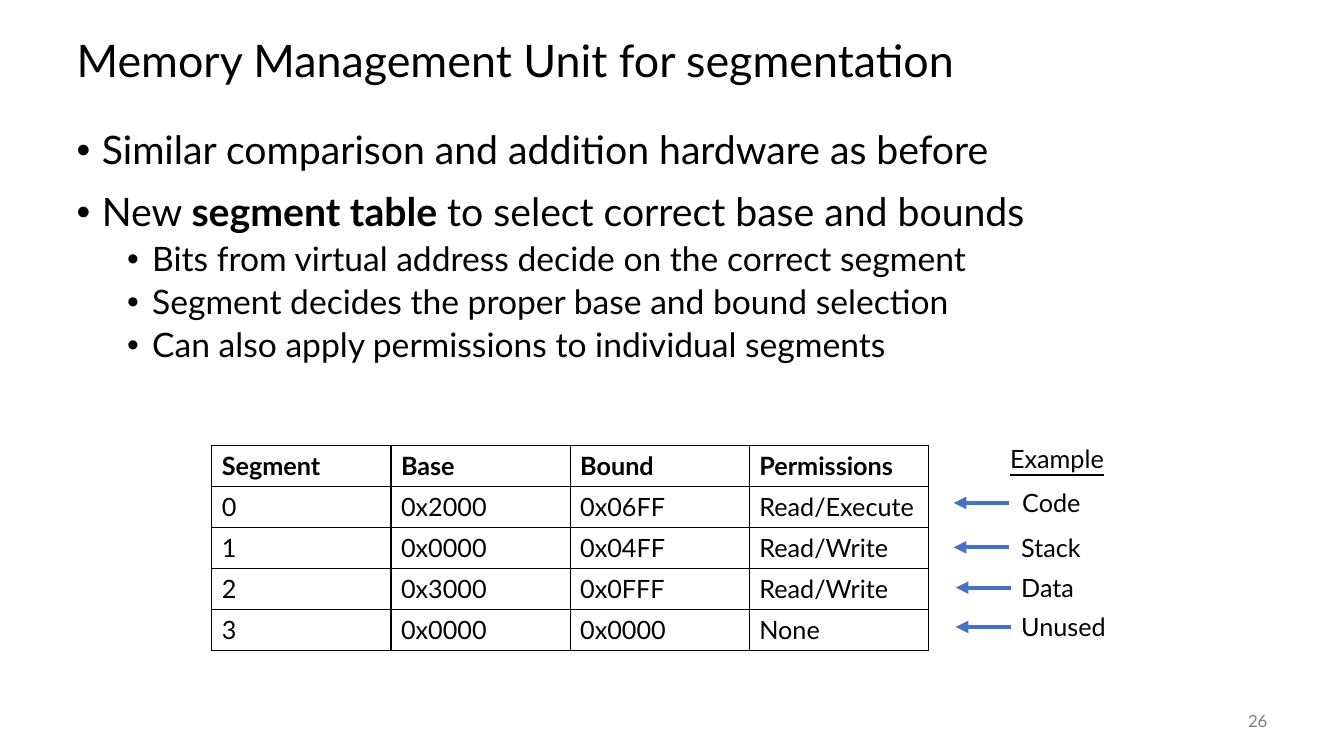
from lxml import etree
from pptx import Presentation
from pptx.dml.color import RGBColor
from pptx.enum.shapes import MSO_CONNECTOR
from pptx.enum.text import MSO_ANCHOR, MSO_AUTO_SIZE, PP_ALIGN
from pptx.oxml.ns import qn
from pptx.util import Inches, Pt

LEFT, RIGHT = PP_ALIGN.LEFT, PP_ALIGN.RIGHT
TOP, MIDDLE = MSO_ANCHOR.TOP, MSO_ANCHOR.MIDDLE
FIXED, GROW = MSO_AUTO_SIZE.NONE, MSO_AUTO_SIZE.SHAPE_TO_FIT_TEXT
STRAIGHT = MSO_CONNECTOR.STRAIGHT

FONT = "Lato"
BLACK, GREY, BLUE = "000000", "808080", "4472C4"
LABEL_W, LABEL_H = 1.92, 0.4
ARROW_LEN = 0.55

BULLETS = [
    (0, ["Similar comparison and addition hardware as before"]),
    (0, ["New ", "*segment table", " to select correct base and bounds"]),
    (1, ["Bits from virtual address decide on the correct segment"]),
    (1, ["Segment decides the proper base and bound selection"]),
    (1, ["Can also apply permissions to individual segments"]),
]
# size, space before and left indent of each list level
LEVELS = [(28, 14, 0.25), (24, 5, 0.75)]

SEGMENTS = [
    ("Segment", "Base", "Bound", "Permissions"),
    ("0", "0x2000", "0x06FF", "Read/Execute"),
    ("1", "0x0000", "0x04FF", "Read/Write"),
    ("2", "0x3000", "0x0FFF", "Read/Write"),
    ("3", "0x0000", "0x0000", "None"),
]
# text, label left, arrow start, common middle line
EXAMPLES = [
    ("Code", 10.04, 10.01, 4.99),
    ("Stack", 10.03, 10.01, 5.43),
    ("Data", 10.03, 10.03, 5.83),
    ("Unused", 10.03, 10.03, 6.22),
]


def rgb(color):
    return RGBColor.from_string(color)


def add_text(p, text, size=18, color=BLACK, bold=False, underline=False):
    r = p.add_run()
    r.text = text
    f = r.font
    f.name, f.size, f.bold, f.underline = FONT, Pt(size), bold, underline
    f.color.rgb = rgb(color)


def place(sp, x, y, w, h, anchor=TOP, fit=FIXED):
    sp.left, sp.top, sp.width, sp.height = (Inches(v) for v in (x, y, w, h))
    tf = sp.text_frame
    tf.word_wrap, tf.auto_size, tf.vertical_anchor = True, fit, anchor
    return tf


def add_label(slide, text, x, y, w=LABEL_W, h=LABEL_H, align=LEFT,
              anchor=TOP, fit=GROW, **fmt):
    sp = slide.shapes.add_textbox(0, 0, 0, 0)
    p = place(sp, x, y, w, h, anchor, fit).paragraphs[0]
    p.alignment = align
    add_text(p, text, **fmt)
    return sp


def add_title(slide, text):
    p = place(slide.shapes.title, 0.66, 0.25, 12, 0.75, MIDDLE).paragraphs[0]
    p.alignment, p.line_spacing = LEFT, 0.9
    add_text(p, text, size=32)


def add_bullets(slide, items):
    tf = place(slide.placeholders[1], 0.66, 1.25, 12, 5.5)
    for i, (level, parts) in enumerate(items):
        p = tf.add_paragraph() if i else tf.paragraphs[0]
        size, before, indent = LEVELS[level]
        p.level = level
        pPr = p._p.get_or_add_pPr()
        pPr.set("marL", str(Inches(indent)))
        pPr.set("indent", str(Inches(-0.25)))
        etree.SubElement(pPr, qn("a:buFont"), typeface="Arial")
        etree.SubElement(pPr, qn("a:buChar"), char="•")
        p.alignment, p.line_spacing = LEFT, 0.9
        p.space_before = Pt(before if i else 0)
        for part in parts:
            add_text(p, part.lstrip("*"), size=size, bold=part.startswith("*"))


def add_borders(cell, color, width):
    tcPr = cell._tc.get_or_add_tcPr()
    for side in ("lnL", "lnR", "lnT", "lnB"):
        ln = etree.SubElement(tcPr, qn("a:" + side), w=str(Pt(width)))
        fill = etree.SubElement(ln, qn("a:solidFill"))
        etree.SubElement(fill, qn("a:srgbClr"), val=color)


def add_segment_table(slide, rows):
    frame = slide.shapes.add_table(len(rows), len(rows[0]), Inches(2.1),
                                   Inches(4.42), Inches(7.11), Inches(2.03))
    table = frame.table
    table.first_row = table.horz_banding = False
    for i, row in enumerate(rows):
        for j, text in enumerate(row):
            cell = table.cell(i, j)
            add_borders(cell, BLACK, 1)
            cell.fill.background()
            add_text(cell.text_frame.paragraphs[0], text, bold=i == 0)


def add_arrow(slide, x, y, length):
    line = slide.shapes.add_connector(STRAIGHT, Inches(x), Inches(y),
                                      Inches(x - length), Inches(y))
    line.line.color.rgb = rgb(BLUE)
    line.line.width = Pt(3)
    etree.SubElement(line.line._get_or_add_ln(), qn("a:tailEnd"),
                     type="triangle")
    etree.SubElement(line._element.spPr, qn("a:effectLst"))
    return line


def add_examples(slide):
    add_label(slide, "Example", 9.92, 4.35, underline=True)
    for text, x, start, middle in EXAMPLES:
        label = add_label(slide, text, x, middle - LABEL_H / 2)
        arrow = add_arrow(slide, start, middle, ARROW_LEN)
        if start == x:
            arrow.begin_connect(label, 1)


def main():
    prs = Presentation()
    prs.slide_width, prs.slide_height = Inches(13.33), Inches(7.5)
    slide = prs.slides.add_slide(prs.slide_layouts[1])

    # Heading and list
    add_title(slide, "Memory Management Unit for segmentation")
    add_bullets(slide, BULLETS)

    # Segment table with an example use of each row
    add_segment_table(slide, SEGMENTS)
    add_examples(slide)

    # Page number
    add_label(slide, "26", 11.67, 6.95, w=1, align=RIGHT, anchor=MIDDLE,
              fit=FIXED, size=12, color=GREY)
    prs.save("out.pptx")


if __name__ == "__main__":
    main()
